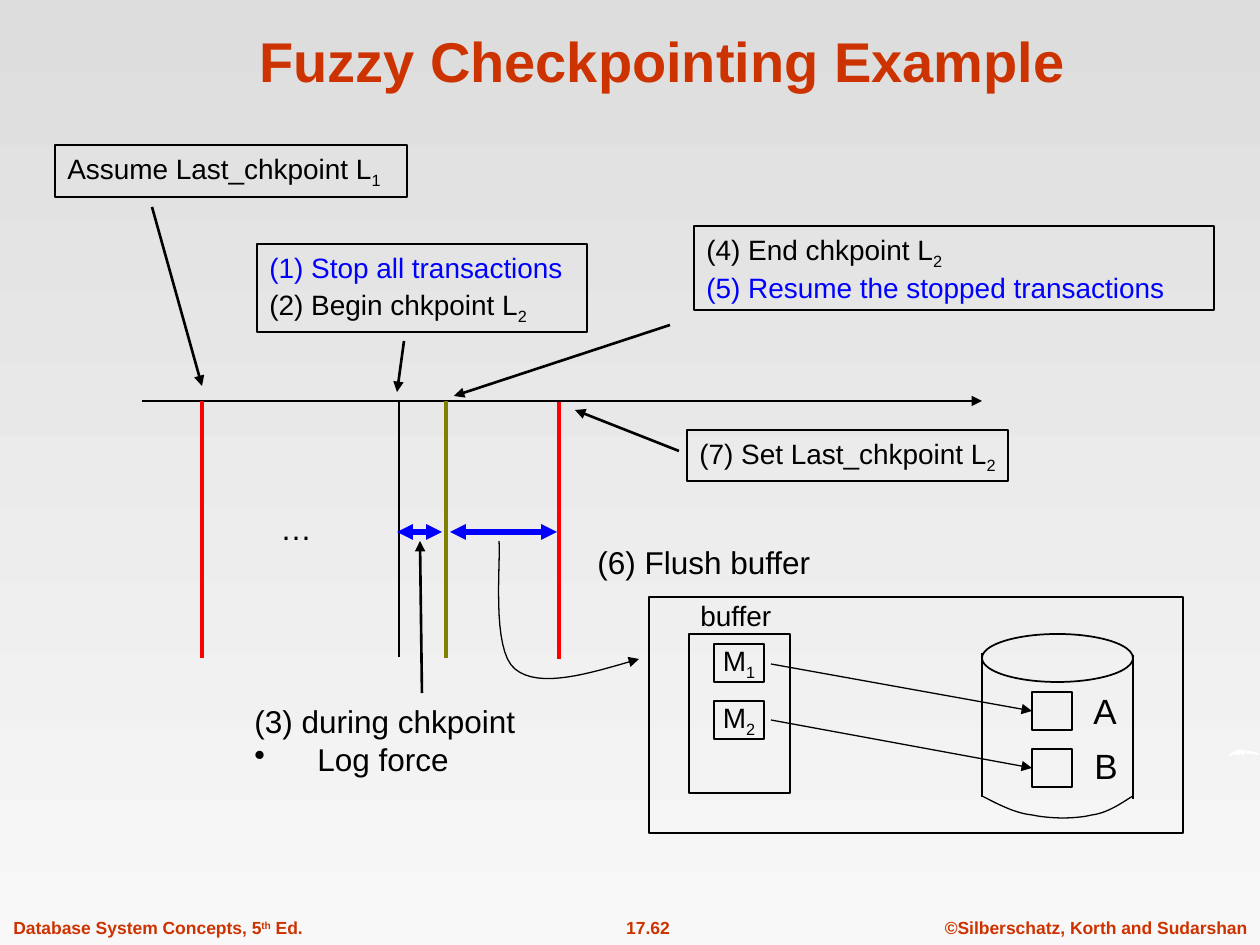
from lxml import etree
from pptx import Presentation
from pptx.dml.color import RGBColor
from pptx.enum.shapes import MSO_CONNECTOR, MSO_SHAPE
from pptx.enum.text import MSO_ANCHOR, MSO_AUTO_SIZE, PP_ALIGN
from pptx.oxml.ns import qn
from pptx.util import Inches, Pt

RECT, OVAL, LINE = MSO_SHAPE.RECTANGLE, MSO_SHAPE.OVAL, MSO_CONNECTOR.STRAIGHT
LEFT, MID = PP_ALIGN.LEFT, PP_ALIGN.CENTER
TOP, CENTRE, BASE = MSO_ANCHOR.TOP, MSO_ANCHOR.MIDDLE, MSO_ANCHOR.BOTTOM
NOFIT = MSO_AUTO_SIZE.NONE
SCALE = Inches(1) / 126


class Theme:
    font = "Arial"
    ink, blue, red, olive = "000000", "0000FF", "FF0000", "808000"
    head, white = "CC3300", "FFFFFF"
    back = ("DDDDDD", "F8F8F8")
    title, letter, body, note, foot = 32, 20, 18, 16, 10
    thin, edge, arrow, bar, span = 0.75, 1, 1.5, 2.5, 3


def px(n):
    return round(n * SCALE)


def at(box, x, y, w, h):
    return box[0] + x, box[1] + y, w, h


def rgb(code):
    return RGBColor.from_string(code)


def write(shape, lines, size, align=LEFT, anchor=TOP, bold=False, wrap=False,
          shift=-25, gap=0):
    """Fill a shape with (words, colour) lines; every second part between bars is shifted."""
    frame = shape.text_frame
    frame.word_wrap, frame.auto_size, frame.vertical_anchor = wrap, NOFIT, anchor
    for i, (words, tint) in enumerate(lines):
        para = frame.add_paragraph() if i else frame.paragraphs[0]
        para.alignment = align
        if i and gap:
            para.space_before = Pt(gap)
        for j, part in enumerate(words.split("|")):
            run = para.add_run()
            run.text = part
            font = run.font
            font.name, font.size, font.bold = Theme.font, Pt(size), bold
            font.color.rgb = rgb(tint)
            if j % 2:
                run._r.get_or_add_rPr().set("baseline", str(shift * 1000))


def label(slide, box, lines, size, **style):
    shape = slide.shapes.add_textbox(*map(px, box))
    write(shape, lines, size, **style)
    return shape


def frame(slide, box, kind=RECT, width=Theme.thin):
    shape = slide.shapes.add_shape(kind, *map(px, box))
    shape.shadow.inherit = False
    shape.fill.background()
    shape.line.color.rgb = rgb(Theme.ink)
    shape.line.width = Pt(width)
    return shape


def tip(shape, *ends):
    ln = shape._element.spPr.get_or_add_ln()
    for end in ends:
        etree.SubElement(ln, qn("a:" + end), type="triangle")


def line(slide, box, start, end, tint=Theme.ink, width=Theme.thin, ends=()):
    spots = [px(box[k] + p[k]) for p in (start, end) for k in (0, 1)]
    link = slide.shapes.add_connector(LINE, *spots)
    link.line.color.rgb = rgb(tint)
    link.line.width = Pt(width)
    etree.SubElement(link._element.spPr, qn("a:effectLst"))
    tip(link, *ends)
    return link


def outline(slide, box, dots, close=False):
    dots = [(px(box[0] + x), px(box[1] + y)) for x, y in dots]
    pen = slide.shapes.build_freeform(*dots[0], scale=1.0)
    pen.add_line_segments(dots[1:], close=close)
    shape = pen.convert_to_shape()
    shape.shadow.inherit = False
    return shape


def curve(slide, box, knots, steps=16):
    """Draw joined cubic curves: a start, then three knots for each piece."""
    dots = [knots[0]]
    for i in range(0, len(knots) - 1, 3):
        a, b, c, d = knots[i:i + 4]
        for n in range(1, steps + 1):
            t = n / steps
            u = 1 - t
            dots.append(tuple(u**3 * a[k] + 3 * u * u * t * b[k] + 3 * u * t * t * c[k]
                              + t**3 * d[k] for k in (0, 1)))
    shape = outline(slide, box, dots)
    shape.fill.background()
    shape.line.color.rgb = rgb(Theme.ink)
    shape.line.width = Pt(Theme.thin)
    return shape


def backdrop(slide, box):
    fill = slide.background.fill
    fill.gradient()
    fill.gradient_angle = 270
    for stop, tint in zip(fill.gradient_stops, Theme.back):
        stop.color.rgb = rgb(tint)
    # White flourish at the right edge
    dots = [(0, 7), (2, 4), (5, 2), (10, 0), (14, 0), (20, 1), (27, 2), (32, 4), (30, 5),
            (24, 4), (16, 3), (16, 6), (12, 3), (12, 6), (9, 3), (10, 6), (6, 4), (2, 6)]
    mark = outline(slide, box, dots, close=True)
    mark.fill.solid()
    mark.fill.fore_color.rgb = rgb(Theme.white)
    mark.line.fill.background()


def header(slide, box):
    title = slide.shapes.title
    title.left, title.top, title.width, title.height = map(px, box)
    write(title, [("Fuzzy Checkpointing Example", Theme.head)], Theme.title,
          align=MID, anchor=BASE, bold=True, wrap=True)


def footer(slide, box):
    parts = [(0, 314, "Database System Concepts, 5|th| Ed.", LEFT),
             (580, 134, "17.62", MID),
             (931, 328, "©Silberschatz, Korth and Sudarshan", MID)]
    for x, w, words, align in parts:
        label(slide, at(box, x, 0, w, box[3]), [(words, Theme.head)], Theme.foot,
              align=align, bold=True, shift=30)


def timeline(slide, box):
    wide, tall = box[2:]
    line(slide, box, (0, 0), (wide, 0), ends=["tailEnd"])
    # Checkpoint marks
    marks = [(60, 0, Theme.red, Theme.bar), (257, -1, Theme.ink, Theme.thin),
             (304, 0, Theme.olive, Theme.bar), (417, 1, Theme.red, Theme.bar)]
    for x, y, tint, width in marks:
        line(slide, box, (x, y), (x, y + tall), tint, width)
    # Spans between marks
    for x, end in ((255, 300), (308, 415)):
        line(slide, box, (x, 131), (end, 131), Theme.blue, Theme.span,
             ["headEnd", "tailEnd"])
    label(slide, at(box, 126, 102, 57, 50), [("…", Theme.ink)], Theme.body)


def note(slide, box, lines, start, end, gap=2):
    write(frame(slide, box), lines, Theme.note, wrap=True, gap=gap)
    line(slide, box, start, end, width=Theme.arrow, ends=["tailEnd"])


def during(slide, box):
    shape = label(slide, box, [("(3) during chkpoint", Theme.ink),
                               ("Log force", Theme.ink)], Theme.body)
    for para, kind in zip(shape.text_frame.paragraphs, ("buNone", "buChar")):
        props = para._p.get_or_add_pPr()
        props.set("marL", str(px(63)))
        props.set("indent", str(px(-63)))
        bullet = etree.SubElement(props, qn("a:" + kind))
        if kind == "buChar":
            bullet.set("char", "•")
    line(slide, box, (180, -3), (178, -155), width=Theme.arrow, ends=["tailEnd"])


def flush(slide, box):
    frame(slide, box)
    label(slide, at(box, -64, -60, 364, 50), [("(6) Flush buffer", Theme.ink)], Theme.body)
    sweep = curve(slide, box, [(-150, -56), (-148, -35), (-158, 53), (-134, 72),
                               (-110, 92), (-61, 77), (-10, 62)])
    tip(sweep, "tailEnd")
    # Buffer
    frame(slide, at(box, 40, 37, 101, 159))
    label(slide, at(box, 39, -5, 96, 47), [("buffer", Theme.ink)], Theme.note)
    # Disk
    frame(slide, at(box, 333, 37, 151, 48), OVAL, Theme.edge)
    for x, y in ((333, 56), (484, 58)):
        line(slide, box, (x, y), (x, y + 144))
    curve(slide, box, [(333, 199), (349, 207), (365, 216), (383, 218), (402, 222),
                       (427, 222), (443, 218), (460, 216), (477, 203), (484, 199)])
    # Pages and the blocks they are flushed to
    for i, (page, block) in enumerate((("M|1", "A"), ("M|2", "B"))):
        drop = 57 * i
        write(frame(slide, at(box, 65, 47 + drop, 50, 38)), [(page, Theme.ink)],
              Theme.note, align=MID, anchor=CENTRE)
        cell = frame(slide, at(box, 383, 95 + drop, 40, 38))
        label(slide, at(box, 432 + i, 86 + 55 * i, 48, 55), [(block, Theme.ink)],
              Theme.letter)
        link = line(slide, box, (122, 67 + 56 * i), (383, 114 + drop), ends=["tailEnd"])
        link.end_connect(cell, 1)


def main():
    deck = Presentation()
    deck.slide_width, deck.slide_height = px(1260), px(945)
    slide = deck.slides.add_slide(deck.slide_layouts[5])
    backdrop(slide, (1228, 750, 32, 7))
    header(slide, (106, 16, 1113, 84))
    footer(slide, (1, 911, 1259, 34))
    timeline(slide, (142, 401, 840, 257))
    ink, blue = Theme.ink, Theme.blue
    note(slide, (55, 145, 352, 52), [("Assume Last_chkpoint L|1", ink)],
         (97, 62), (147, 241))
    note(slide, (257, 244, 330, 88), [("(1) Stop all transactions", blue),
                                      ("(2) Begin chkpoint L|2", ink)],
         (147, 97), (140, 148))
    note(slide, (694, 226, 520, 84), [("(4) End chkpoint L|2", ink),
                                      ("(5) Resume the stopped transactions", blue)],
         (-24, 99), (-240, 170), gap=0)
    note(slide, (687, 430, 321, 51), [("(7) Set Last_chkpoint L|2", ink)],
         (-8, 21), (-112, -20))
    during(slide, (242, 696, 412, 88))
    flush(slide, (649, 597, 534, 236))
    deck.save("out.pptx")


if __name__ == "__main__":
    main()
